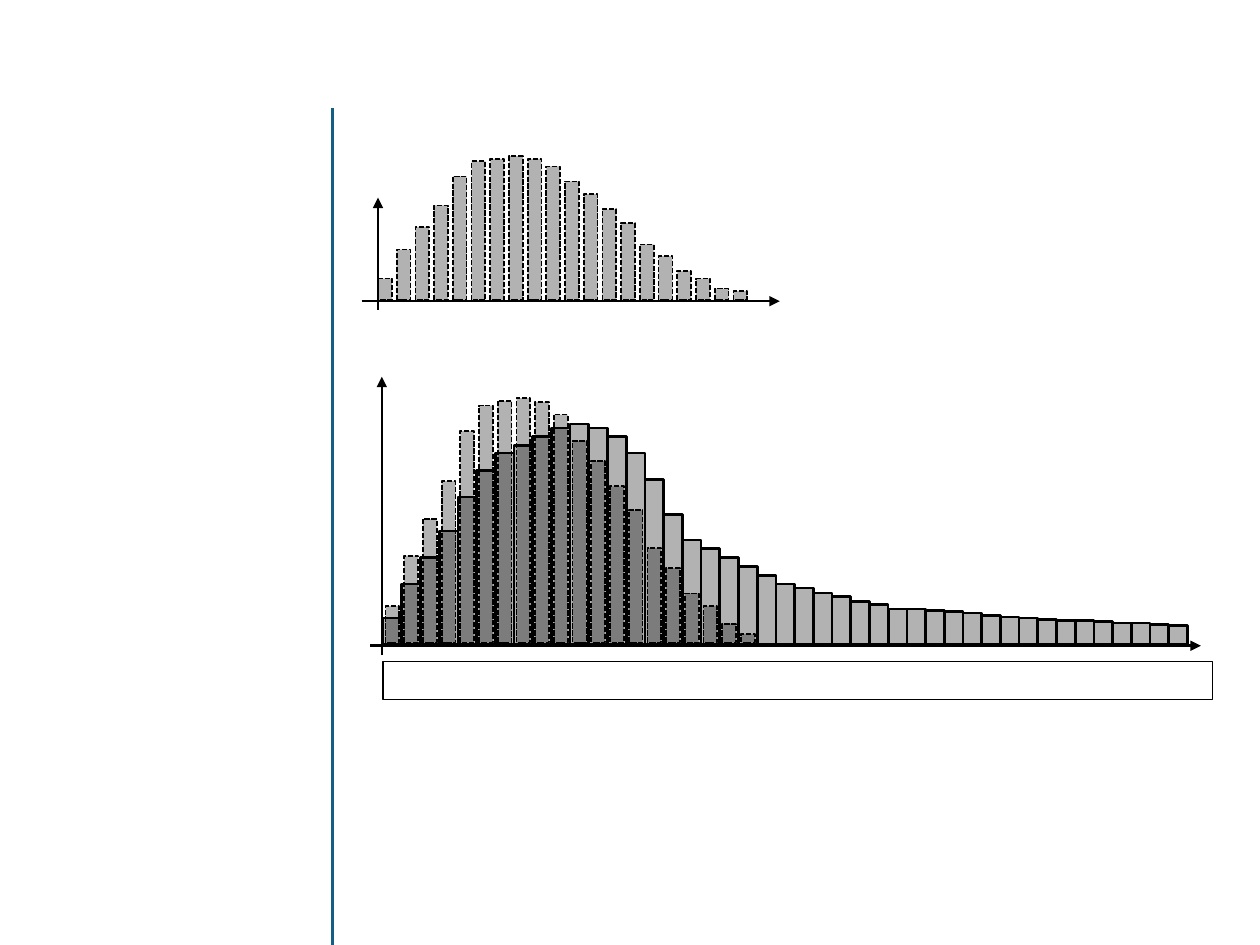
from lxml import etree
from pptx import Presentation
from pptx.dml.color import RGBColor
from pptx.enum.dml import MSO_LINE
from pptx.enum.shapes import MSO_CONNECTOR, MSO_SHAPE
from pptx.oxml.ns import qn
from pptx.util import Pt

BLACK, WHITE, BLUE = "000000", "FFFFFF", "156082"
BAR_OPACITY = 30
PITCH = 10.69
NARROW = 7.9

# Bar heights in points, from left to right
UPPER_DASHED = [12.2, 28.8, 41.8, 54, 70.6, 79.2, 80.6, 82.1, 80.6, 76.3,
                67.7, 60.5, 51.8, 43.9, 31.7, 25, 16.6, 12.2, 6.5, 5]
LOWER_DASHED = [20.9, 49.7, 70.6, 92.2, 121, 135.4, 138.2, 139.7, 137.5, 130.3,
                115.2, 103.7, 89.3, 75.6, 54, 42.5, 28.1, 20.9, 10.8, 5]
LOWER_SOLID = [15.1, 34.6, 49.7, 64.8, 84.2, 99.4, 109.4, 113.8, 118.8, 123.8,
               126, 123.8, 118.8, 109.4, 94.3, 74.2, 59.8, 54.7, 49.7, 44.6,
               39.6, 34.6, 32.4, 29.5, 27.4, 24.5, 23, 20.2, 20.2, 19.4,
               18.7, 18, 16.6, 15.8, 15.1, 14.4, 13.7, 13.7, 13, 12.2,
               12.2, 11.5, 10.8]


def color(value):
    return RGBColor.from_string(value)


def add_line(page, start, end, line_color=BLACK, arrow=False):
    line = page.shapes.add_connector(
        MSO_CONNECTOR.STRAIGHT, *[Pt(value) for value in (*start, *end)])
    line.line.color.rgb = color(line_color)
    line.line.width = Pt(1.5)
    properties = line._element.spPr
    if arrow:
        etree.SubElement(properties.find(qn("a:ln")), qn("a:tailEnd"), type="triangle")
    etree.SubElement(properties, qn("a:effectLst"))


def add_box(page, left, top, width, height, fill, line_width, opacity=100, dashed=False):
    box = page.shapes.add_shape(
        MSO_SHAPE.RECTANGLE, Pt(left), Pt(top), Pt(width), Pt(height))
    box.shadow.inherit = False
    box.fill.solid()
    box.fill.fore_color.rgb = color(fill)
    if opacity < 100:
        fill_color = box._element.spPr.find(qn("a:solidFill"))[0]
        etree.SubElement(fill_color, qn("a:alpha"), val=str(opacity * 1000))
    box.line.color.rgb = color(BLACK)
    box.line.width = Pt(line_width)
    if dashed:
        box.line.dash_style = MSO_LINE.SQUARE_DOT


def add_bars(page, left, baseline, heights, width, line_width, dashed=False):
    """Stand equally spaced translucent bars on the baseline."""
    for index, height in enumerate(heights):
        add_box(page, left + index * PITCH, baseline - height, width, height,
                BLACK, line_width, BAR_OPACITY, dashed)


def add_axes(page, left, top, width, height, origin_x, baseline):
    """Draw two arrows that span the box and cross at the origin."""
    add_line(page, (origin_x, top + height), (origin_x, top), arrow=True)
    add_line(page, (left, baseline), (left + width, baseline), arrow=True)


def add_lower_histogram(page, left, top, width, height):
    baseline = top + height - 5.4
    add_axes(page, left, top, width, height, left + 6.5, baseline)
    add_bars(page, left + 7.2, baseline - 0.7, LOWER_SOLID, PITCH, 1.5)
    add_bars(page, left + 8.6, baseline - 1.8, LOWER_DASHED, NARROW, 1, dashed=True)


def add_upper_histogram(page, left, top, width, height):
    baseline = top + height - 5
    add_axes(page, left, top, width, height, left + 9.4, baseline)
    add_bars(page, left + 9.4, baseline - 0.7, UPPER_DASHED, NARROW, 1, dashed=True)


def main():
    deck = Presentation()
    deck.slide_width, deck.slide_height = Pt(720), Pt(540)
    page = deck.slides.add_slide(deck.slide_layouts[6])
    add_line(page, (190, 62), (190, 540), BLUE)
    add_lower_histogram(page, 211.7, 215.3, 474.5, 159.1)
    add_upper_histogram(page, 206.6, 113, 239, 64.1)
    add_box(page, 218.9, 378, 473.8, 21.6, WHITE, 0.75)
    deck.save("out.pptx")


if __name__ == "__main__":
    main()
